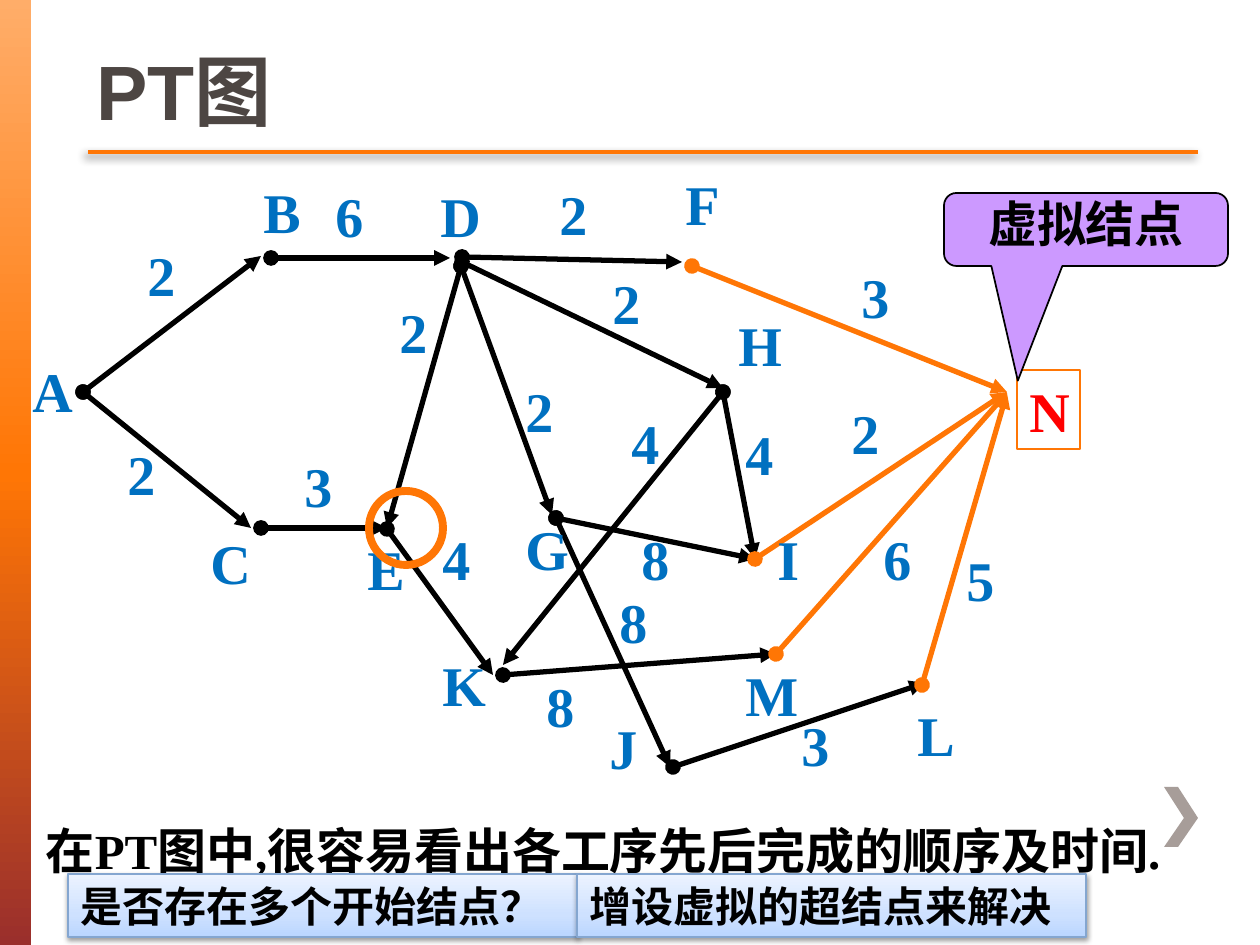
from lxml.etree import SubElement
from pptx import Presentation
from pptx.dml.color import RGBColor
from pptx.enum.shapes import MSO_CONNECTOR, MSO_SHAPE
from pptx.enum.text import MSO_ANCHOR, MSO_AUTO_SIZE, PP_ALIGN
from pptx.oxml import parse_xml
from pptx.oxml.ns import nsdecls, qn
from pptx.util import Emu, Pt

PIXELS_PER_INCH = 126
LABEL_WIDTH, LABEL_HEIGHT = 63, 79
SERIF = "Times New Roman"

BLACK = RGBColor(0x00, 0x00, 0x00)
ORANGE = RGBColor(0xFF, 0x76, 0x05)
BLUE = RGBColor(0x00, 0x70, 0xC0)
RED = RGBColor(0xFF, 0x00, 0x00)
PURPLE = RGBColor(0xCC, 0x99, 0xFF)
GREY = RGBColor(0xA7, 0x9D, 0x99)
TITLE_BROWN = RGBColor(0x4D, 0x46, 0x43)
PALE_BLUE_LINE = RGBColor(0x84, 0xA6, 0xD0)
BAR_STOPS = [(0, RGBColor(0xFF, 0xAD, 0x69)), (50, ORANGE),
             (100, RGBColor(0x9A, 0x2F, 0x2C))]
BOX_STOPS = [(0, RGBColor(0xBA, 0xD6, 0xFF)), (35, RGBColor(0xCE, 0xE1, 0xFF)),
             (100, RGBColor(0xEC, 0xF3, 0xFF))]

NODE_LABELS = {
    "A": (20, 350), "B": (251, 171), "C": (198, 522), "D": (428, 175),
    "E": (355, 528), "F": (673, 163), "G": (513, 508), "H": (726, 304),
    "I": (765, 518), "J": (597, 707), "K": (430, 644), "L": (905, 694),
    "M": (733, 654),
}

TASK_EDGES = [
    ((83, 392), (261, 256), "2", (135, 234)),
    ((83, 392), (251, 528), "2", (115, 433)),
    ((271, 258), (450, 258), "6", (323, 175)),
    ((261, 528), (387, 528), "3", (292, 445)),
    ((461, 266), (387, 528), "2", (387, 291)),
    ((462, 257), (682, 262), "2", (547, 173)),
    ((461, 266), (552, 515), "2", (513, 370)),
    ((462, 262), (723, 388), "2", (600, 262)),
    ((387, 529), (493, 675), "4", (430, 518)),
    ((556, 518), (755, 559), "8", (629, 518)),
    ((556, 518), (670, 767), "8", (607, 581)),
    ((723, 392), (755, 559), "4", (733, 413)),
    ((723, 392), (503, 665), "4", (619, 402)),
    ((673, 767), (925, 683), "3", (789, 704)),
    ((503, 675), (776, 654), "8", (534, 665)),
]

FINISH_EDGES = [
    ((692, 266), (1007, 392), "3", (849, 256)),
    ((755, 559), (1007, 392), "2", (839, 392)),
    ((922, 685), (1007, 393), "5", (954, 539)),
    ((776, 654), (1007, 393), "6", (871, 518)),
]


def px(value):
    return Emu(round(value * 914400 / PIXELS_PER_INCH))


def set_gradient(shape, stops, angle):
    shape.fill.gradient()
    gradient = shape._element.spPr.find(qn("a:gradFill"))
    stop_list = gradient.find(qn("a:gsLst"))
    for stop in list(stop_list):
        stop_list.remove(stop)
    for position, color in stops:
        stop = SubElement(stop_list, qn("a:gs"), pos=str(position * 1000))
        SubElement(stop, qn("a:srgbClr"), val=str(color))
    gradient.find(qn("a:lin")).set("ang", str(angle * 60000))


def set_effects(shape, shadow=None):
    properties = shape._element.spPr
    for effects in properties.findall(qn("a:effectLst")):
        properties.remove(effects)
    content = ""
    if shadow:
        alpha, blur, distance, direction = shadow
        content = (
            f'<a:outerShdw blurRad="{Pt(blur)}" dist="{Pt(distance)}" '
            f'dir="{direction * 60000}" algn="ctr" rotWithShape="0">'
            f'<a:srgbClr val="000000"><a:alpha val="{alpha * 1000}"/>'
            "</a:srgbClr></a:outerShdw>")
    properties.append(parse_xml(
        f'<a:effectLst {nsdecls("a")}>{content}</a:effectLst>'))


def add_text(shape, text, size, color, font=SERIF, anchor=MSO_ANCHOR.TOP,
             align=PP_ALIGN.LEFT, half_space=False):
    frame = shape.text_frame
    frame.word_wrap = True
    frame.vertical_anchor = anchor
    paragraph = frame.paragraphs[0]
    paragraph.alignment = align
    if half_space:
        frame.auto_size = MSO_AUTO_SIZE.SHAPE_TO_FIT_TEXT
        space = SubElement(paragraph._p.get_or_add_pPr(), qn("a:spcBef"))
        SubElement(space, qn("a:spcPct"), val="50000")
    run = paragraph.add_run()
    run.text = text
    run.font.size = Pt(size)
    run.font.bold = True
    run.font.name = font
    run.font.color.rgb = color
    return frame


def add_text_box(slide, left, top, width, height, text, size, color, **options):
    box = slide.shapes.add_textbox(px(left), px(top), px(width), px(height))
    return add_text(box, text, size, color, **options)


def add_shape(slide, kind, left, top, width, height, fill=None, line=None,
              line_width=0.75):
    shape = slide.shapes.add_shape(kind, px(left), px(top), px(width), px(height))
    shape.shadow.inherit = False
    style_shape(shape, fill, line, line_width)
    return shape


def style_shape(shape, fill, line, line_width):
    if fill is None:
        shape.fill.background()
    else:
        shape.fill.solid()
        shape.fill.fore_color.rgb = fill
    if line is None:
        shape.line.fill.background()
    else:
        shape.line.color.rgb = line
        shape.line.width = Pt(line_width)


def add_line(slide, start, end, color, width, shadow=None):
    line = slide.shapes.add_connector(
        MSO_CONNECTOR.STRAIGHT, px(start[0]), px(start[1]), px(end[0]), px(end[1]))
    line.line.color.rgb = color
    line.line.width = Pt(width)
    set_effects(line, shadow)
    return line


def add_edge(slide, start, end, color):
    outline = add_line(slide, start, end, color, 3).line._get_or_add_ln()
    SubElement(outline, qn("a:headEnd"), type="oval")
    SubElement(outline, qn("a:tailEnd"), type="triangle")


def add_label(slide, text, position):
    add_text_box(slide, *position, LABEL_WIDTH, LABEL_HEIGHT, text, 32, BLUE,
                 half_space=True)


def add_chevron(slide):
    builder = slide.shapes.build_freeform(1178, 787, scale=px(1000) / 1000)
    builder.add_line_segments(
        [(1164, 787), (1184, 818), (1164, 847), (1178, 847), (1198, 818)])
    chevron = builder.convert_to_shape()
    chevron.shadow.inherit = False
    style_shape(chevron, GREY, None, 0)


def add_question_box(slide, left, text):
    box = add_shape(slide, MSO_SHAPE.RECTANGLE, left, 874, 509, 63,
                    line=PALE_BLUE_LINE)
    set_gradient(box, BOX_STOPS, 270)
    set_effects(box, (38, 3.1, 1.6, 90))
    add_text(box, text, 24, BLACK, font="Calibri", half_space=True)


def main():
    presentation = Presentation()
    presentation.slide_width, presentation.slide_height = px(1260), px(945)
    slide = presentation.slides.add_slide(presentation.slide_layouts[6])

    bar = add_shape(slide, MSO_SHAPE.RECTANGLE, 0, 0, 31, 945)
    set_gradient(bar, BAR_STOPS, 90)
    add_chevron(slide)
    add_line(slide, (88, 152), (1198, 152), ORANGE, 2.5, (45, 5, 3, 135))
    add_text_box(slide, 84, 0, 1110, 142, "PT图", 44, TITLE_BROWN, font="Arial",
                 anchor=MSO_ANCHOR.BOTTOM)

    for edges, color in ((TASK_EDGES, BLACK), (FINISH_EDGES, ORANGE)):
        for start, end, weight, position in edges:
            add_edge(slide, start, end, color)
            add_label(slide, weight, position)
    for name, position in NODE_LABELS.items():
        add_label(slide, name, position)

    finish = add_shape(slide, MSO_SHAPE.RECTANGLE, 1017, 370, LABEL_WIDTH,
                       LABEL_HEIGHT, line=ORANGE)
    add_text(finish, "N", 32, RED, half_space=True)
    callout = add_shape(slide, MSO_SHAPE.ROUNDED_RECTANGULAR_CALLOUT, 944, 193,
                        284, 73, PURPLE, BLACK, 1)
    for index, value in enumerate((-0.24, 2.07, 0.17)):
        callout.adjustments[index] = value
    frame = add_text(callout, "虚拟结点", 28, BLACK, align=PP_ALIGN.CENTER)
    frame.paragraphs[0].line_spacing = 0.85

    summary = add_text_box(slide, 0, 814, 1260, 72,
                           "在PT图中,很容易看出各工序先后完成的顺序及时间.",
                           28, BLACK, half_space=True)
    summary.margin_left = px(46)
    add_shape(slide, MSO_SHAPE.OVAL, 369, 491, 74, 74, line=ORANGE, line_width=4.5)
    add_question_box(slide, 68, "是否存在多个开始结点？")
    add_question_box(slide, 577, "增设虚拟的超结点来解决")
    presentation.save("out.pptx")


main()
